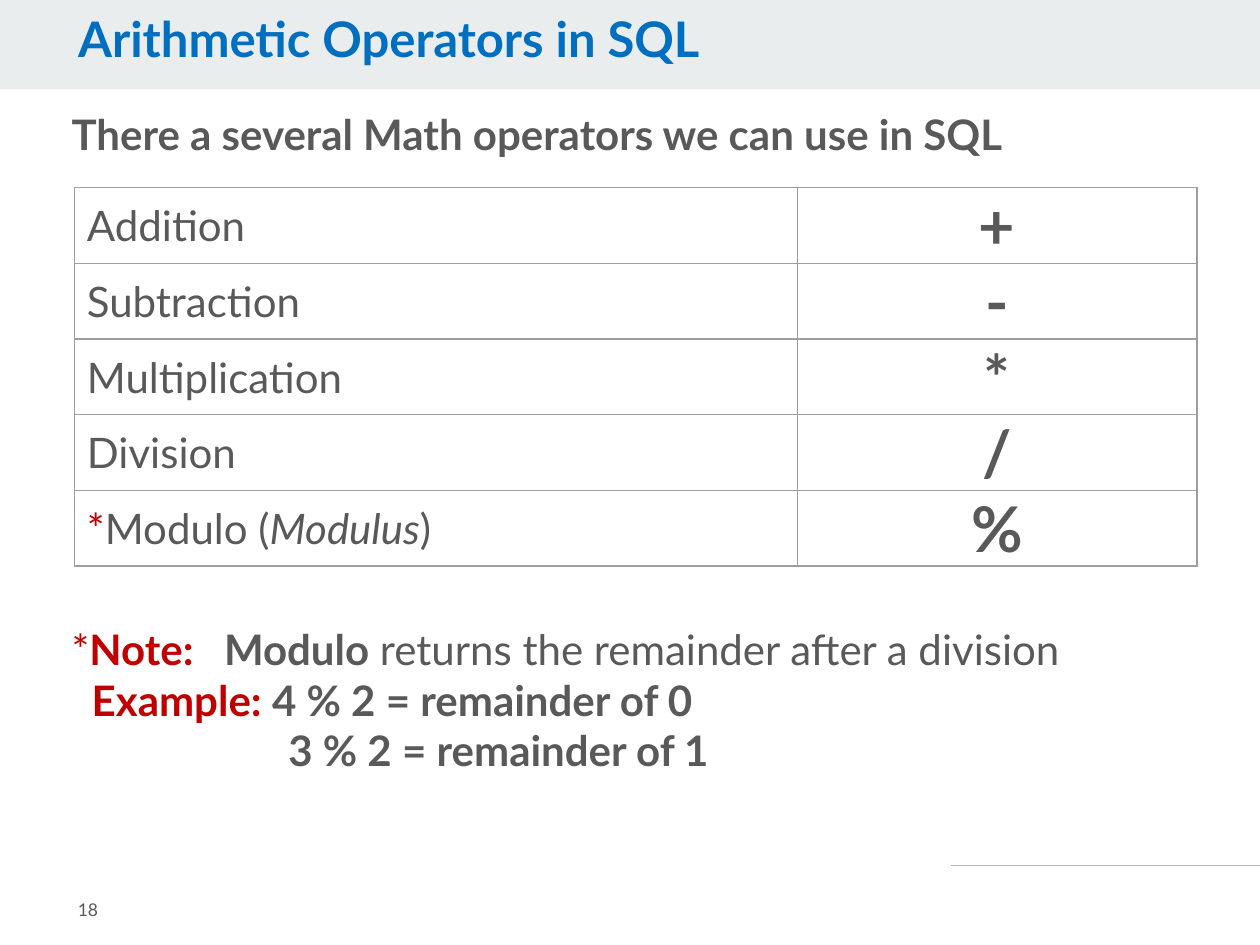
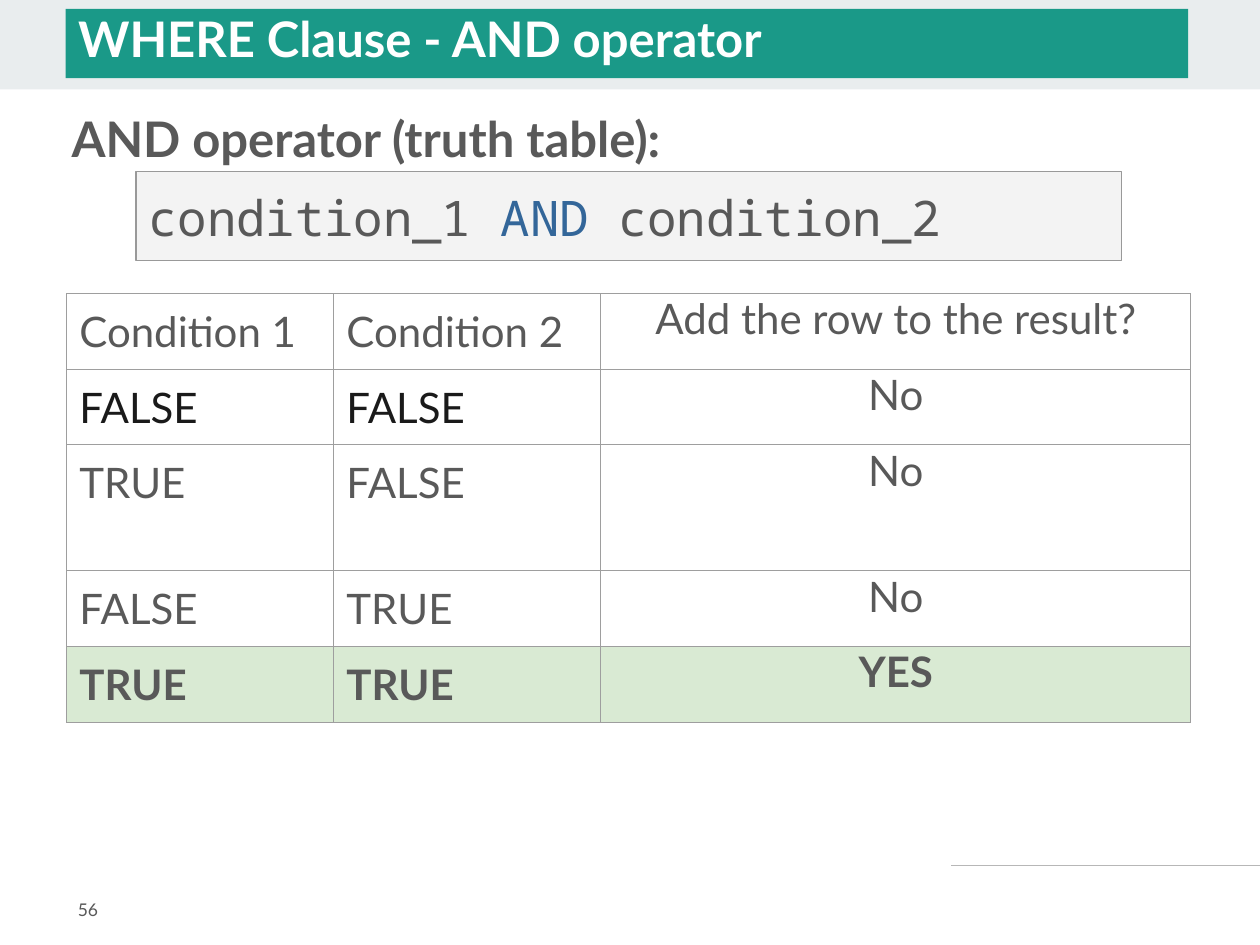
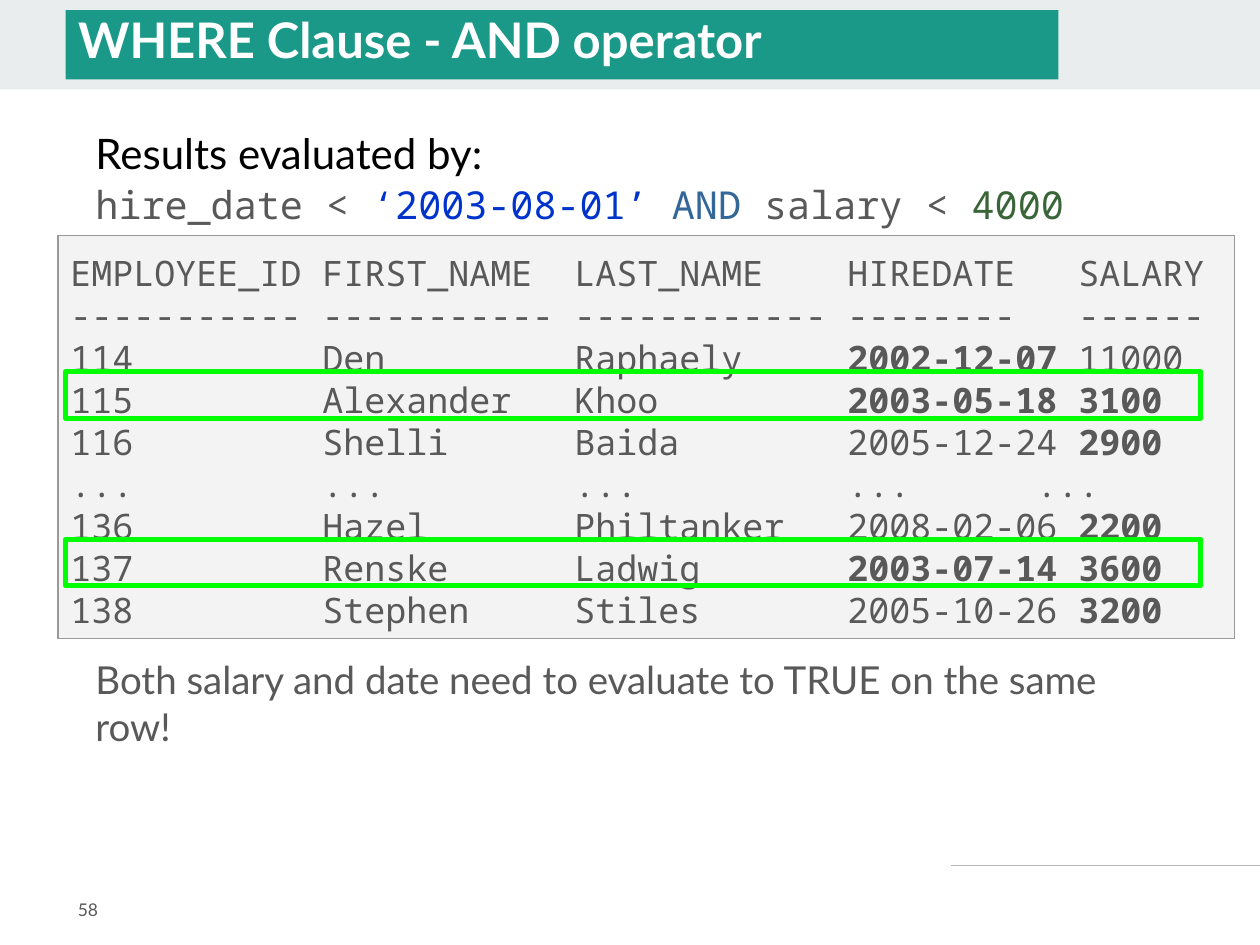
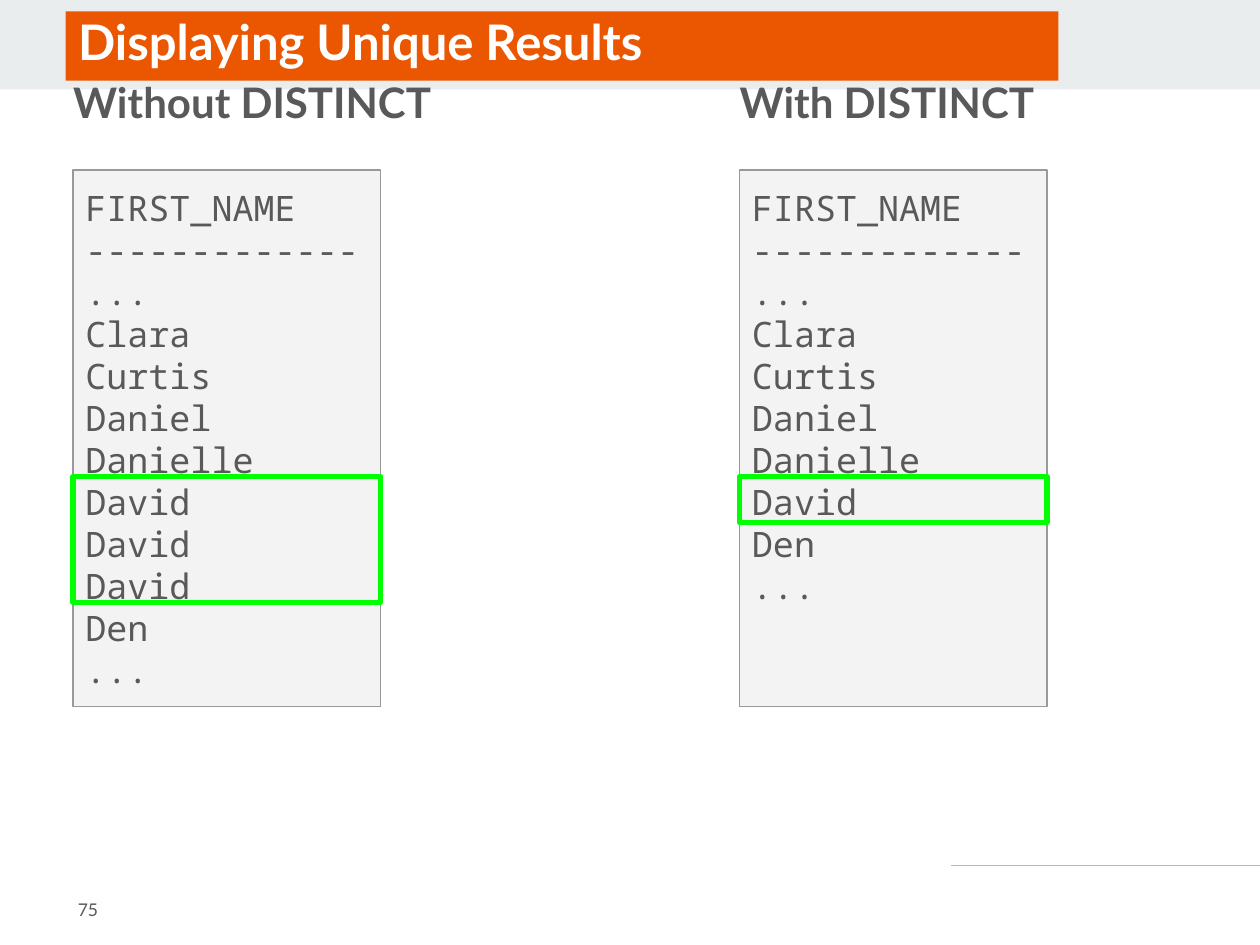
from lxml.etree import SubElement
from pptx import Presentation
from pptx.dml.color import RGBColor
from pptx.enum.shapes import MSO_CONNECTOR, MSO_SHAPE
from pptx.enum.text import MSO_ANCHOR, MSO_AUTO_SIZE, PP_ALIGN
from pptx.oxml.ns import qn
from pptx.util import Inches, Pt

COLORS = {
    "text": "595959", "ink": "1A1A1A", "black": "000000", "white": "FFFFFF",
    "blue": "006FBF", "teal": "1A9988", "orange": "EB5600", "red": "C00000",
    "keyword": "336699", "string": "0033CC", "number": "396539",
    "band": "E9EDEE", "rule": "B7B7B7", "panel": "F3F3F3", "border": "999999",
    "grid": "9E9E9E", "match": "D9EAD3", "marker": "00FF00",
}
COLUMNS, ROWS = 100, 75
BODY = {"size": 24, "font": "Lato", "color": "text", "bold": False, "italic": False}
HEADING = {**BODY, "bold": True}
TITLE = {**HEADING, "size": 28}
CODE = {**BODY, "size": 20, "font": "Noto Sans Mono"}
CODE_LEADING = 1.2
CODE_INSETS = (1, 1.3)
CHARACTER = 0.6  # advance of a code character, as a share of its size


def rgb(name):
    return RGBColor.from_string(COLORS[name])


class Deck:
    """Holds the style and the current slide; lengths are grid columns and rows."""

    def __init__(self):
        self.presentation = Presentation()
        self.presentation.slide_width = Inches(10)
        self.presentation.slide_height = Inches(7.5)
        self.layout = self.presentation.slide_layouts[5]
        self.slide = None

    def x(self, columns):
        return round(self.presentation.slide_width * columns / COLUMNS)

    def y(self, rows):
        return round(self.presentation.slide_height * rows / ROWS)

    def box(self, left, top, width, height):
        return self.x(left), self.y(top), self.x(width), self.y(height)

    # Slides and their shared parts
    def add_slide(self, title, number, top=0.7, width=89.1, color="white", fill=None):
        self.slide = self.presentation.slides.add_slide(self.layout)
        if len(self.presentation.slides) == 1:
            self.add_shared_parts()
        shape = self.slide.shapes.title
        shape.left, shape.top, shape.width, shape.height = self.box(5.2, top, width, 5.5)
        self.paint(shape, fill)
        self.fill_frame(shape.text_frame, [title], {**TITLE, "color": color},
                        insets=(1, 0.5), leading=0.9)
        self.add_text((5.2, 69.3, 12.3, 5.7), [str(number)], {**BODY, "size": 10},
                      anchor=MSO_ANCHOR.MIDDLE)

    def add_shared_parts(self):
        """Draw the band and the footer rule, then move them to the layout."""
        band = self.add_box((0, 0, COLUMNS, 7.1), fill="band")
        rule = self.slide.shapes.add_connector(
            MSO_CONNECTOR.STRAIGHT, self.x(75.5), self.y(68.7), self.x(COLUMNS), self.y(68.7))
        rule.line.color.rgb = rgb("rule")
        rule.line.width = Pt(0.75)
        SubElement(rule.element.spPr, qn("a:effectLst"))
        for shape in (band, rule):
            self.layout.shapes.element.insert(2, shape.element)

    # Shapes
    def paint(self, shape, fill=None, line=None, weight=0.75):
        if fill:
            shape.fill.solid()
            shape.fill.fore_color.rgb = rgb(fill)
        else:
            shape.fill.background()
        if line:
            shape.line.color.rgb = rgb(line)
            shape.line.width = Pt(weight)
        else:
            shape.line.fill.background()

    def add_box(self, box, **paint):
        shape = self.slide.shapes.add_shape(MSO_SHAPE.RECTANGLE, *self.box(*box))
        shape.shadow.inherit = False
        self.paint(shape, **paint)
        return shape

    def add_marker(self, box):
        self.add_box(box, line="marker", weight=3)

    # Text
    def add_text(self, box, paragraphs, style=BODY, **options):
        shape = self.slide.shapes.add_textbox(*self.box(*box))
        self.fill_frame(shape.text_frame, paragraphs, style, **options)
        return shape.text_frame

    def add_code_panel(self, box, lines, style=CODE):
        shape = self.add_box(box, fill="panel", line="border")
        self.fill_frame(shape.text_frame, lines, style, insets=CODE_INSETS,
                        leading=Pt(style["size"] * CODE_LEADING))
        return shape.text_frame

    def fill_frame(self, frame, paragraphs, style, insets=(1, 1), leading=None,
                   anchor=MSO_ANCHOR.TOP):
        frame.word_wrap = True
        frame.auto_size = MSO_AUTO_SIZE.NONE
        frame.vertical_anchor = anchor
        frame.margin_left = frame.margin_right = self.x(insets[0])
        frame.margin_top = frame.margin_bottom = self.y(insets[1])
        for index, runs in enumerate(paragraphs):
            paragraph = frame.paragraphs[0] if index == 0 else frame.add_paragraph()
            self.add_runs(paragraph, runs, style)
            if leading:
                paragraph.line_spacing = leading

    def add_runs(self, paragraph, runs, style, align=PP_ALIGN.LEFT):
        """Runs are one string, or a list of strings and (string, changes) pairs."""
        paragraph.alignment = align
        for item in [runs] if isinstance(runs, str) else runs:
            text, changes = (item, {}) if isinstance(item, str) else item
            look = {**style, **changes}
            run = paragraph.add_run()
            run.text = text
            run.font.name = look["font"]
            run.font.size = Pt(look["size"])
            run.font.bold = look["bold"]
            run.font.italic = look["italic"]
            run.font.color.rgb = rgb(look["color"])

    def set_indent(self, paragraph, columns):
        properties = paragraph._p.get_or_add_pPr()
        properties.set("marL", str(self.x(columns)))
        properties.set("indent", "0")

    def set_tabs(self, paragraph, stops):
        tabs = SubElement(paragraph._p.get_or_add_pPr(), qn("a:tabLst"))
        for stop in stops:
            SubElement(tabs, qn("a:tab"), pos=str(self.x(stop)), algn="l")

    # Tables
    def add_table(self, left, top, widths, heights, rows, last_style=BODY, match_row=None):
        """The last column is centred, without vertical margins."""
        frame = self.slide.shapes.add_table(
            len(rows), len(widths), *self.box(left, top, sum(widths), sum(heights)))
        table = frame.table
        table.first_row = table.horz_banding = False
        for column, width in zip(table.columns, widths):
            column.width = self.x(width)
        for row, height in zip(table.rows, heights):
            row.height = self.y(height)
        for row_index, values in enumerate(rows):
            matched = row_index == match_row
            for column_index, runs in enumerate(values):
                last = column_index == len(widths) - 1
                cell = table.cell(row_index, column_index)
                cell.margin_left = cell.margin_right = self.x(1)
                cell.margin_top = cell.margin_bottom = self.y(0 if last else 1)
                style = last_style if last else BODY
                self.add_runs(cell.text_frame.paragraphs[0], runs,
                              {**style, "bold": style["bold"] or matched},
                              PP_ALIGN.CENTER if last else PP_ALIGN.LEFT)
                self.add_borders(cell)
                if matched:
                    cell.fill.solid()
                    cell.fill.fore_color.rgb = rgb("match")
                else:
                    cell.fill.background()

    def add_borders(self, cell):
        properties = cell._tc.get_or_add_tcPr()
        for side in ("lnL", "lnR", "lnT", "lnB"):
            line = SubElement(properties, qn(f"a:{side}"), w=str(Pt(0.75)))
            fill = SubElement(line, qn("a:solidFill"))
            SubElement(fill, qn("a:srgbClr"), val=COLORS["grid"])


def build_arithmetic(deck):
    deck.add_slide("Arithmetic Operators in SQL", 18, color="blue")
    deck.add_text((4.7, 8.1, 90.4, 5.5),
                  ["There a several Math operators we can use in SQL"], HEADING, insets=(1, 0.5))
    red = {"color": "red"}
    modulo = [("*", red), "Modulo (", ("Modulus", {"italic": True}), ")"]
    operators = [("Addition", "+"), ("Subtraction", "-"), ("Multiplication", "*"),
                 ("Division", "/"), (modulo, "%")]
    deck.add_table(5.9, 14.9, [57.4, 31.7], [6] * 5, operators, {**HEADING, "size": 36})

    # Note with worked examples
    plain = {"bold": False}
    note = deck.add_text((4.7, 48.5, 88.7, 15.8), [
        [("*", {**red, **plain}), ("Note:\t", red), "Modulo",
         (" returns the remainder after a division", plain)],
        [("Example: ", red), "4 % 2 = remainder of 0"],
        "3 % 2 = remainder of 1",
    ], HEADING)
    deck.set_tabs(note.paragraphs[0], [12.1])
    deck.set_indent(note.paragraphs[1], 1.6)
    deck.set_indent(note.paragraphs[2], 17.2)


def build_truth_table(deck):
    deck.add_slide("WHERE Clause - AND operator", 56, fill="teal")
    deck.add_text((4.7, 8.1, 90.4, 5.5), ["AND operator (truth table):"], TITLE,
                  insets=(1, 0.5))
    false_dark = [("FALSE", {"color": "ink"})]
    rows = [
        ("Condition 1", "Condition 2", "Add the row to the result?"),
        (false_dark, false_dark, "No"),
        ("TRUE", "FALSE", "No"),
        ("FALSE", "TRUE", "No"),
        ("TRUE", "TRUE", "YES"),
    ]
    deck.add_table(5.3, 23.3, [21.2, 21.2, 46.8], [6, 6, 10, 6, 6], rows, match_row=4)
    deck.add_code_panel(
        (10.8, 13.6, 78.2, 7.1),
        [["condition_1 ", ("AND", {"color": "keyword"}), " condition_2"]],
        {**CODE, "size": 28})


def build_evaluated_rows(deck):
    deck.add_slide("WHERE Clause - AND operator", 58, top=0.8, width=78.8, fill="teal")

    # Condition
    code = {**CODE, "size": 22}
    condition = deck.add_text((6.6, 9.1, 82, 9), [
        [("Results evaluated by:", {**BODY, "color": "black"})],
        ["hire_date < ", ("‘2003-08-01’ ", {"color": "string"}),
         ("AND", {"color": "keyword"}), " salary < ", ("4000", {"color": "number"})],
    ], code)
    condition.paragraphs[1].line_spacing = Pt(code["size"] * CODE_LEADING)
    condition.paragraphs[1].space_before = Pt(2)

    # Query result: values that meet their condition are bold
    employees = [
        ("EMPLOYEE_ID", "FIRST_NAME", "LAST_NAME", "HIREDATE", "SALARY"),
        ("-" * 11, "-" * 11, "-" * 12, "-" * 8, "-" * 6),
        ("114", "Den", "Raphaely", "2002-12-07", "11000"),
        ("115", "Alexander", "Khoo", "2003-05-18", "3100"),
        ("116", "Shelli", "Baida", "2005-12-24", "2900"),
        ("...",) * 5,
        ("136", "Hazel", "Philtanker", "2008-02-06", "2200"),
        ("137", "Renske", "Ladwig", "2003-07-14", "3600"),
        ("138", "Stephen", "Stiles", "2005-10-26", "3200"),
    ]
    lines = []
    for *names, hired, salary in employees:
        early = hired[0].isdigit() and hired < "2003-08-01"
        low = salary.isdigit() and int(salary) < 4000
        lines.append(["\t".join(names) + "\t", (hired + "\t", {"bold": early}),
                      (salary, {"bold": low})])
    result = deck.add_code_panel((4.6, 18.7, 93.4, 32), lines)
    character_width = CODE["size"] * CHARACTER / 7.2
    for paragraph, employee in zip(result.paragraphs, employees):
        last_stop = 46 if employee[-1] == "..." else 48
        deck.set_tabs(paragraph, [stop * character_width for stop in (12, 24, 37, last_stop)])
    for top in (29.5, 42.8):
        deck.add_marker((5.2, top, 90.1, 3.7))

    deck.add_text((6.6, 51.1, 82, 9),
                  ["Both salary and date need to evaluate to TRUE on the same row!"],
                  {**BODY, "size": 22})


def build_unique_results(deck):
    deck.add_slide("Displaying Unique Results", 75, top=0.9, width=78.8, fill="orange")
    lists = [("Without DISTINCT", 5.8, 3, 10), ("With DISTINCT", 58.7, 1, 3.7)]
    for heading, left, repeats, marker_height in lists:
        names = ["FIRST_NAME", "-" * 13, "...", "Clara", "Curtis", "Daniel", "Danielle",
                 *["David"] * repeats, "Den", "..."]
        deck.add_code_panel((left, 13.5, 24.4, 42.6), names)
        deck.add_marker((left, 37.8, 24.4, marker_height))
        deck.add_text((left, 5.1, 29.8, 7.7), [heading], HEADING, insets=(0, 1))


def main():
    deck = Deck()
    build_arithmetic(deck)
    build_truth_table(deck)
    build_evaluated_rows(deck)
    build_unique_results(deck)
    deck.presentation.save("out.pptx")


if __name__ == "__main__":
    main()
